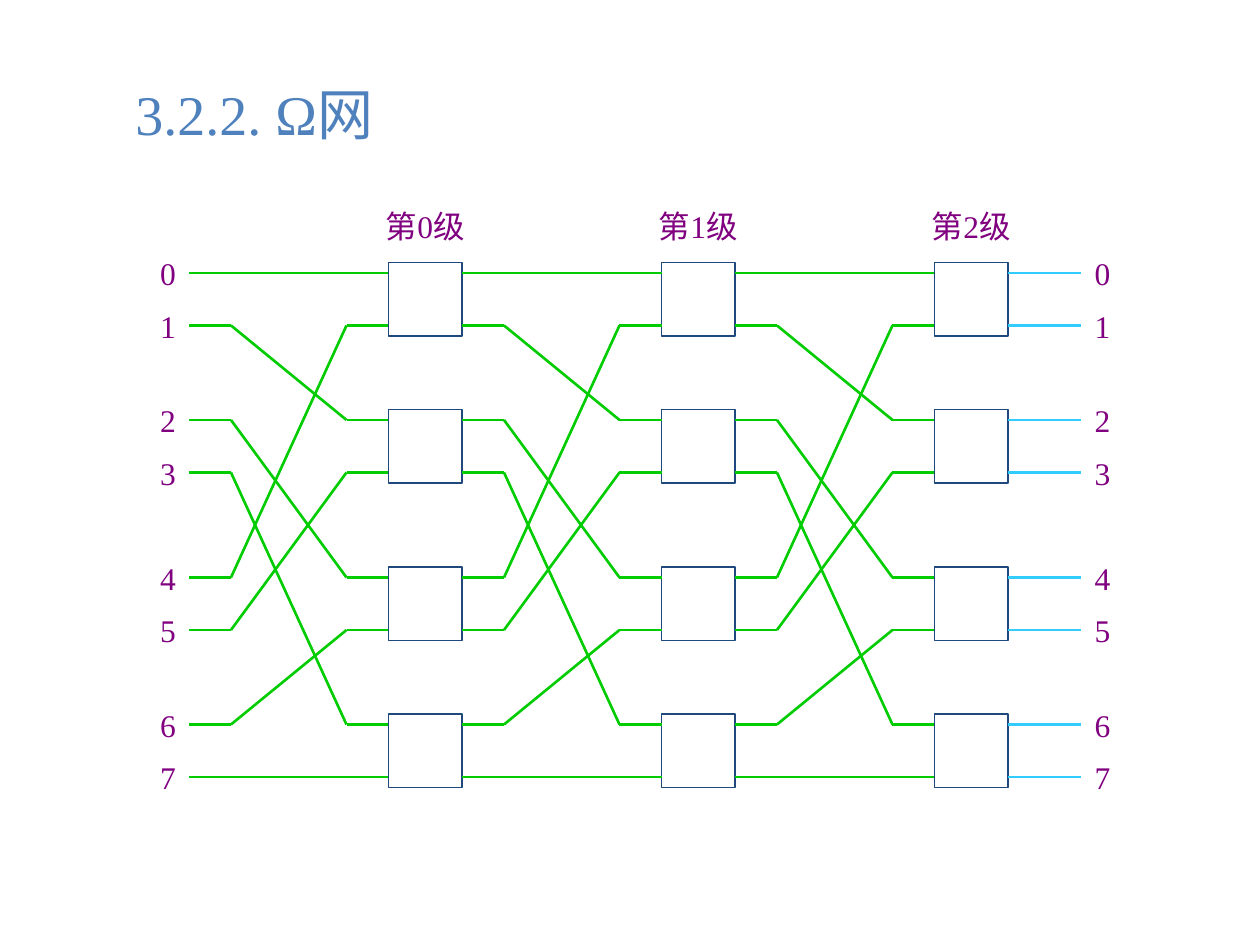
from dataclasses import dataclass
from itertools import pairwise

from lxml import etree
from pptx import Presentation, util as u
from pptx.dml.color import RGBColor
from pptx.enum import shapes, text
from pptx.oxml.ns import qn

COLORS = {
    "title": "4F81BD",
    "label": "800080",
    "box": "1F497D",
    "wire": "00CC00",
    "output": "33CCFF",
}
FONT = "Times New Roman"

# The slide is a grid of 120 columns and 90 rows, twelve cells to the inch.
CELL = u.Inches(1) // 12
BOX_SIZE = 7
STAGE_COLUMNS = [37, 63, 89]
SWITCH_ROWS = [25, 39, 54, 68]
PORT_ROWS = [row + offset for row in SWITCH_ROWS for offset in (1, 6)]
WIRE_SPAN = 19
BENDS = (4, 15)
OUTPUT_COLUMN = STAGE_COLUMNS[-1] + BOX_SIZE


@dataclass(frozen=True)
class Area:
    column: float
    row: float
    width: float
    height: float

    def emu(self) -> list[int]:
        return [round(n * CELL) for n in (self.column, self.row, self.width, self.height)]


def color(name: str) -> RGBColor:
    return RGBColor.from_string(COLORS[name])


def write_text(shape, content: str, *, size: int = 18, fill: str = "label",
               align=text.PP_ALIGN.CENTER, anchor=text.MSO_ANCHOR.MIDDLE,
               wrap: bool = False, inset: bool = True) -> None:
    frame = shape.text_frame
    frame.word_wrap = wrap
    frame.auto_size = text.MSO_AUTO_SIZE.NONE
    frame.vertical_anchor = anchor
    if not inset:
        frame.margin_left = frame.margin_right = 0
        frame.margin_top = frame.margin_bottom = 0
    paragraph = frame.paragraphs[0]
    paragraph.alignment = align
    run = paragraph.add_run()
    run.text = content
    run.font.name = FONT
    run.font.size = u.Pt(size)
    run.font.color.rgb = color(fill)


def add_label(slide, area: Area, content: str, inset: bool = True) -> None:
    write_text(slide.shapes.add_textbox(*area.emu()), content, inset=inset)


def add_switch(slide, column: int, row: int) -> None:
    area = Area(column, row, BOX_SIZE, BOX_SIZE)
    shape = slide.shapes.add_shape(shapes.MSO_SHAPE.RECTANGLE, *area.emu())
    shape.shadow.inherit = False
    shape.fill.background()
    shape.line.color.rgb = color("box")
    shape.line.width = u.Pt(0.75)


def add_wire(slide, points: list[tuple[int, int]], stroke: str = "wire") -> None:
    """Join the grid points with straight segments."""
    for start, end in pairwise(points):
        ends = [n * CELL for n in (*start, *end)]
        line = slide.shapes.add_connector(shapes.MSO_CONNECTOR.STRAIGHT, *ends)
        line.line.color.rgb = color(stroke)
        line.line.width = u.Pt(1.5)
        etree.SubElement(line._element.spPr, qn("a:effectLst"))


def add_shuffle(slide, stage_column: int) -> None:
    """Draw the perfect shuffle that leads into a stage."""
    start = stage_column - WIRE_SPAN
    first_bend, second_bend = (start + bend for bend in BENDS)
    half = len(PORT_ROWS) // 2
    for port, row in enumerate(PORT_ROWS):
        target_row = PORT_ROWS[2 * port % len(PORT_ROWS) + port // half]
        points = [(start, row), (stage_column, target_row)]
        if row != target_row:
            points[1:1] = [(first_bend, row), (second_bend, target_row)]
        add_wire(slide, points)


def add_stage(slide, number: int, column: int) -> None:
    for row in SWITCH_ROWS:
        add_switch(slide, column, row)
    add_shuffle(slide, column)
    add_label(slide, Area(column - 2, 18, BOX_SIZE + 4, 7), f"第{number}级")


def main() -> None:
    presentation = Presentation()
    presentation.slide_width = 120 * CELL
    presentation.slide_height = 90 * CELL
    slide = presentation.slides.add_slide(presentation.slide_layouts[5])

    title = slide.shapes.title
    title.left, title.top, title.width, title.height = Area(11.7, 7, 105, 7).emu()
    write_text(title, "3.2.2. Ω网", size=32, fill="title", wrap=True,
               align=text.PP_ALIGN.LEFT, anchor=text.MSO_ANCHOR.TOP)

    for number, column in enumerate(STAGE_COLUMNS):
        add_stage(slide, number, column)

    for port, row in enumerate(PORT_ROWS):
        add_wire(slide, [(OUTPUT_COLUMN, row), (OUTPUT_COLUMN + 7, row)], "output")
        for column in (14, OUTPUT_COLUMN + 7):
            add_label(slide, Area(column, row - 2, 4, 4), str(port), inset=False)

    presentation.save("out.pptx")


if __name__ == "__main__":
    main()
